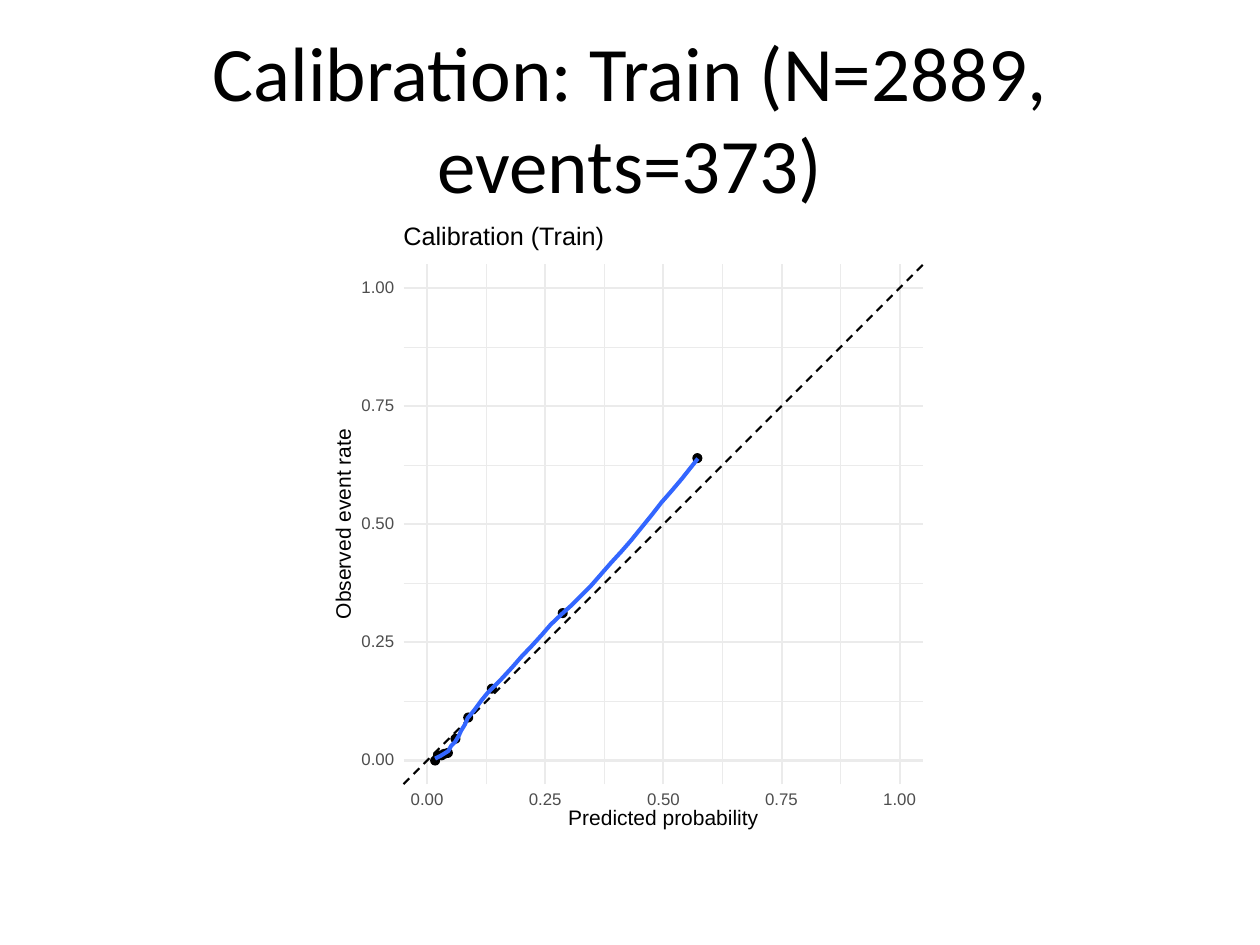
from dataclasses import dataclass

from lxml import etree
from pptx import Presentation
from pptx.dml.color import RGBColor
from pptx.enum.dml import MSO_LINE
from pptx.enum.shapes import MSO_CONNECTOR, MSO_SHAPE
from pptx.enum.text import MSO_ANCHOR, PP_ALIGN
from pptx.oxml.ns import qn
from pptx.shapes.base import BaseShape
from pptx.shapes.connector import Connector
from pptx.slide import Slide
from pptx.util import Pt

STRAIGHT = MSO_CONNECTOR.STRAIGHT
OVAL = MSO_SHAPE.OVAL
DASH = MSO_LINE.DASH
MIDDLE = MSO_ANCHOR.MIDDLE
CENTER = PP_ALIGN.CENTER
LEFT = PP_ALIGN.LEFT

BLACK = RGBColor(0x00, 0x00, 0x00)
GRID_GREY = RGBColor(0xEB, 0xEB, 0xEB)
TICK_GREY = RGBColor(0x4D, 0x4D, 0x4D)
FIT_BLUE = RGBColor(0x33, 0x66, 0xFF)

ORIGIN_X, ORIGIN_Y = 244.1, 434.6
POINTS_PER_PERCENT = 2.7
AXIS_MIN, AXIS_MAX = -5, 105
MAJOR_TICKS = (0, 25, 50, 75, 100)
MINOR_TICKS = (12.5, 37.5, 62.5, 87.5)
MARKER_SIZE = 5
TICK_WIDTH, TICK_HEIGHT = 18.7, 7.2

OBSERVED_GROUPS = [
    (1.7, 0), (2.3, 1.1), (3.1, 1.1), (3.6, 1.4), (4.4, 1.6),
    (6, 4.6), (8.7, 9.1), (13.7, 15.2), (28.7, 31.2), (57.2, 64),
]
FITTED_CURVE = [
    (1.7, 0.4), (2.9, 1), (3.7, 1.5), (4.5, 2), (5.1, 3.1), (5.9, 3.9),
    (6.7, 5.2), (7.2, 6.3), (8, 7.6), (8.6, 9), (9.3, 9.8), (10.1, 10.8),
    (11.5, 12.7), (12.8, 14.3), (14.4, 15.9), (15.7, 17.2), (17.9, 19.6),
    (20, 22), (22.1, 24.2), (24.3, 26.6), (26.1, 28.7), (28.3, 30.8),
    (30.4, 32.7), (32.5, 34.8), (34.7, 37), (36.8, 39.4), (38.9, 41.8),
    (41.1, 44.2), (43.2, 46.6), (45.3, 49.2), (47.5, 51.9), (49.6, 54.6),
    (51.7, 57), (53.9, 59.6), (57.3, 63.9),
]


@dataclass(frozen=True)
class Stroke:
    color: RGBColor
    width: float
    dash: MSO_LINE | None = None


@dataclass(frozen=True)
class Label:
    text: str
    left: float
    top: float
    width: float
    height: float
    size: float
    color: RGBColor = BLACK
    rotation: float = 0


MAJOR_GRID = Stroke(GRID_GREY, 1.16)
MINOR_GRID = Stroke(GRID_GREY, 0.58)
IDEAL = Stroke(BLACK, 1.16, DASH)
FIT = Stroke(FIT_BLUE, 2.33)
MARKER_EDGE = Stroke(BLACK, 0.77)


def plot_x(percent: float) -> float:
    return ORIGIN_X + POINTS_PER_PERCENT * percent


def plot_y(percent: float) -> float:
    return ORIGIN_Y - POINTS_PER_PERCENT * percent


def apply_format(target: object, values: dict[str, object]) -> None:
    for attribute, value in values.items():
        setattr(target, attribute, value)


def apply_stroke(outlined: BaseShape | Connector, stroke: Stroke) -> None:
    outlined.line.color.rgb = stroke.color
    apply_format(outlined.line, {"width": Pt(stroke.width), "dash_style": stroke.dash})


def draw_line(slide: Slide, start: tuple[float, float], end: tuple[float, float],
              stroke: Stroke) -> None:
    line = slide.shapes.add_connector(
        STRAIGHT, Pt(plot_x(start[0])), Pt(plot_y(start[1])),
        Pt(plot_x(end[0])), Pt(plot_y(end[1])))
    apply_stroke(line, stroke)
    etree.SubElement(line._element.spPr, qn("a:effectLst"))


def draw_grid(slide: Slide, ticks: tuple[float, ...], stroke: Stroke) -> None:
    for tick in ticks:
        draw_line(slide, (AXIS_MIN, tick), (AXIS_MAX, tick), stroke)
    for tick in ticks:
        draw_line(slide, (tick, AXIS_MIN), (tick, AXIS_MAX), stroke)


def draw_marker(slide: Slide, predicted: float, observed: float) -> None:
    marker = slide.shapes.add_shape(
        OVAL, Pt(plot_x(predicted) - MARKER_SIZE / 2),
        Pt(plot_y(observed) - MARKER_SIZE / 2), Pt(MARKER_SIZE), Pt(MARKER_SIZE))
    marker.shadow.inherit = False
    marker.fill.solid()
    marker.fill.fore_color.rgb = BLACK
    apply_stroke(marker, MARKER_EDGE)


def draw_curve(slide: Slide, curve: list[tuple[float, float]], stroke: Stroke) -> None:
    vertices = [(Pt(plot_x(x)), Pt(plot_y(y))) for x, y in curve]
    builder = slide.shapes.build_freeform(*vertices[0])
    builder.add_line_segments(vertices[1:], close=False)
    fitted = builder.convert_to_shape()
    fitted.shadow.inherit = False
    fitted.fill.background()
    apply_stroke(fitted, stroke)


def draw_title(slide: Slide, text: str) -> None:
    title = slide.shapes.add_textbox(Pt(36), Pt(21.6), Pt(648), Pt(90))
    apply_format(title.text_frame, {"word_wrap": True, "vertical_anchor": MIDDLE})
    paragraph = title.text_frame.paragraphs[0]
    apply_format(paragraph, {"text": text, "alignment": CENTER})
    apply_format(paragraph.font, {"name": "Calibri", "size": Pt(44)})
    paragraph.font.color.rgb = BLACK


def draw_label(slide: Slide, label: Label) -> None:
    caption = slide.shapes.add_textbox(
        Pt(label.left), Pt(label.top), Pt(label.width), Pt(label.height))
    caption.rotation = label.rotation
    apply_format(caption.text_frame, {
        "margin_left": 0, "margin_top": 0, "margin_right": 0, "margin_bottom": 0,
        "word_wrap": False, "vertical_anchor": MIDDLE})
    paragraph = caption.text_frame.paragraphs[0]
    apply_format(paragraph, {
        "text": label.text, "alignment": LEFT, "line_spacing": Pt(label.size)})
    apply_format(paragraph.font, {"name": "Arial", "size": Pt(label.size)})
    paragraph.font.color.rgb = label.color


def tick_label(tick: float, left: float, top: float) -> Label:
    return Label(f"{tick / 100:.2f}", left, top, TICK_WIDTH, TICK_HEIGHT, 9.6, TICK_GREY)


def main() -> None:
    presentation = Presentation()
    apply_format(presentation, {"slide_width": Pt(720), "slide_height": Pt(540)})
    slide = presentation.slides.add_slide(presentation.slide_layouts[6])

    draw_title(slide, "Calibration: Train (N=2889, events=373)")
    draw_grid(slide, MINOR_TICKS, MINOR_GRID)
    draw_grid(slide, MAJOR_TICKS, MAJOR_GRID)
    draw_line(slide, (AXIS_MIN, AXIS_MIN), (AXIS_MAX, AXIS_MAX), IDEAL)
    for predicted, observed in OBSERVED_GROUPS:
        draw_marker(slide, predicted, observed)
    draw_curve(slide, FITTED_CURVE, FIT)

    labels = [tick_label(tick, 206.6, plot_y(tick) - TICK_HEIGHT / 2) for tick in MAJOR_TICKS]
    labels += [tick_label(tick, plot_x(tick) - TICK_WIDTH / 2, 453.6) for tick in MAJOR_TICKS]
    labels += [
        Label("Predicted probability", 324.7, 463, 108.7, 10.8, 12),
        Label("Observed event rate", 142.6, 295.2, 108.7, 8.6, 12, rotation=270),
        Label("Calibration (Train)", 230.6, 128.9, 115.2, 13.7, 14.4),
    ]
    for label in labels:
        draw_label(slide, label)

    presentation.save("out.pptx")


if __name__ == "__main__":
    main()
